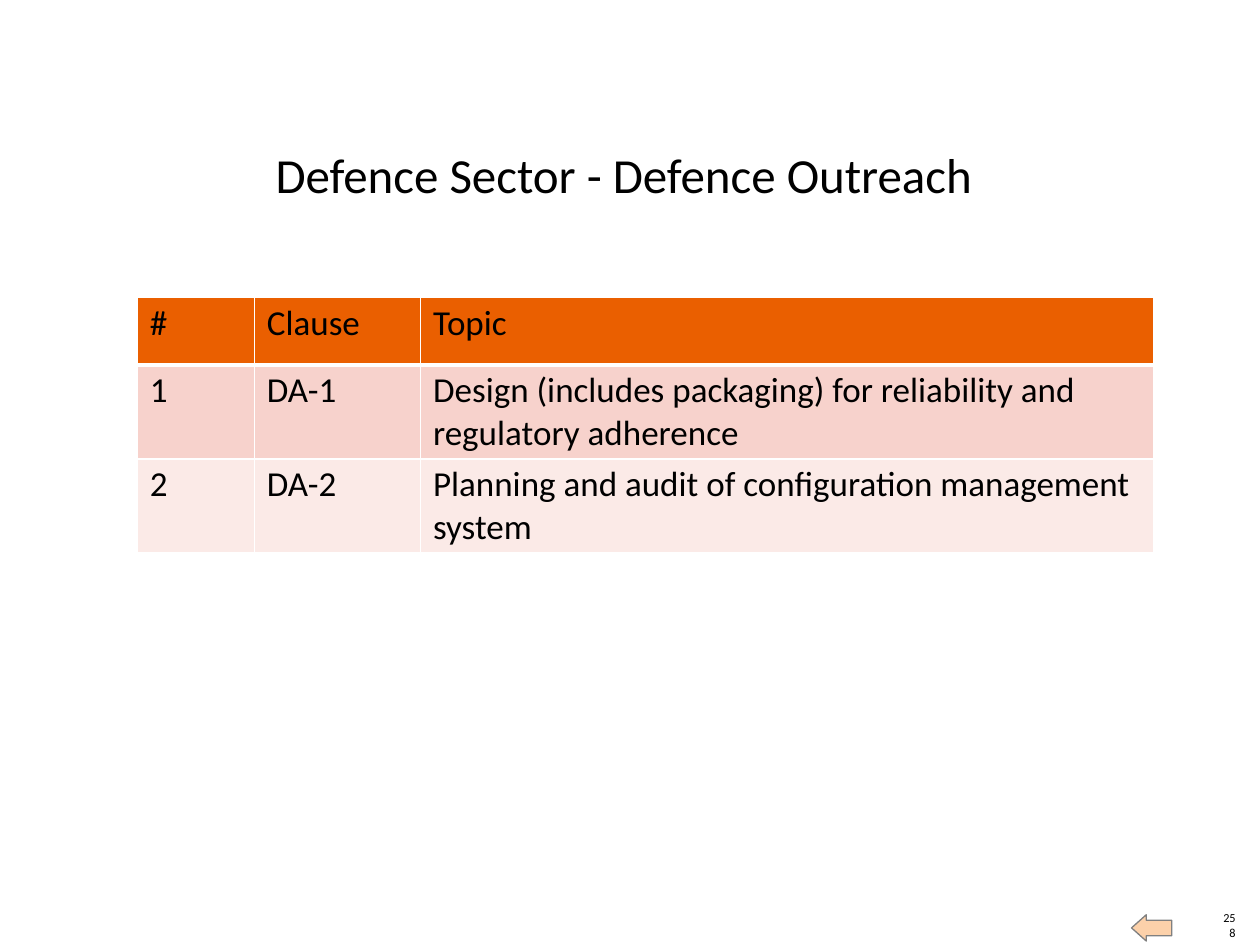
from dataclasses import dataclass

from lxml import etree
from pptx import Presentation
from pptx.dml import color
from pptx.enum import shapes, text
from pptx.oxml import ns
from pptx import util as u


@dataclass(frozen=True)
class Theme:
    font: str = "Calibri"
    ink: str = "000000"
    header: str = "EA5F00"
    bands: tuple = ("F7D2CC", "FBEAE7")
    border: str = "FFFFFF"
    arrow_fill: str = "FCD1AA"
    arrow_line: str = "808080"
    title_size: int = 28
    table_size: int = 20
    number_size: int = 7


def rgb(value):
    return color.RGBColor.from_string(value)


class PageBuilder:
    def __init__(self, deck, theme):
        self.theme = theme
        self.page = deck.slides.add_slide(deck.slide_layouts[5])

    def add_words(self, frame, words, size, align=text.PP_ALIGN.LEFT):
        para = frame.paragraphs[0]
        para.alignment = align
        span = para.add_run()
        span.text = words
        span.font.name = self.theme.font
        span.font.size = u.Pt(size)
        span.font.color.rgb = rgb(self.theme.ink)

    def bare_frame(self, box, anchor):
        frame = box.text_frame
        frame.margin_left = frame.margin_right = 0
        frame.margin_top = frame.margin_bottom = 0
        frame.word_wrap = True
        frame.auto_size = text.MSO_AUTO_SIZE.NONE
        frame.vertical_anchor = anchor
        return frame

    def title(self, words, left, top, width, height):
        box = self.page.shapes.title
        box.left, box.top, box.width, box.height = map(u.Cm, (left, top, width, height))
        frame = self.bare_frame(box, text.MSO_ANCHOR.TOP)
        self.add_words(frame, words, self.theme.title_size, text.PP_ALIGN.CENTER)

    def page_number(self, words, left, top, width, height):
        box = self.page.shapes.add_textbox(*map(u.Cm, (left, top, width, height)))
        frame = self.bare_frame(box, text.MSO_ANCHOR.BOTTOM)
        self.add_words(frame, words, self.theme.number_size, text.PP_ALIGN.RIGHT)

    def back_arrow(self, left, top, width, height):
        arrow = self.page.shapes.add_shape(
            shapes.MSO_SHAPE.RIGHT_ARROW, *map(u.Cm, (left, top, width, height)))
        arrow.rotation = 180
        arrow.adjustments[0], arrow.adjustments[1] = 0.59, 0.56
        arrow.shadow.inherit = False
        arrow.fill.solid()
        arrow.fill.fore_color.rgb = rgb(self.theme.arrow_fill)
        arrow.line.color.rgb = rgb(self.theme.arrow_line)
        arrow.line.width = u.Pt(0.75)

    def border(self, cell, side, points):
        properties = cell._tc.get_or_add_tcPr()
        line = etree.SubElement(properties, ns.qn(f"a:ln{side}"), w=str(u.Pt(points)))
        fill = etree.SubElement(line, ns.qn("a:solidFill"))
        etree.SubElement(fill, ns.qn("a:srgbClr"), val=self.theme.border)

    def style_cell(self, cell, row):
        cell.margin_left = u.Cm(0.25)
        cell.margin_right = u.Cm(0.15 if row else 0.18)
        cell.margin_top = cell.margin_bottom = u.Cm(0.08 if row else 0.1)
        rules = {"L": 1, "R": 1, "T": 3 if row == 1 else 1, "B": 1 if row else 3}
        for side, points in rules.items():
            self.border(cell, side, points)
        bands = self.theme.bands
        cell.fill.solid()
        cell.fill.fore_color.rgb = rgb(bands[(row - 1) % len(bands)] if row else self.theme.header)

    def table(self, rows, left, top, widths, heights):
        size = (left, top, sum(widths), sum(heights))
        grid = self.page.shapes.add_table(len(rows), len(widths), *map(u.Cm, size)).table
        for column, width in zip(grid.columns, widths):
            column.width = u.Cm(width)
        for row, (words, height) in enumerate(zip(rows, heights)):
            grid.rows[row].height = u.Cm(height)
            for column, word in enumerate(words):
                cell = grid.cell(row, column)
                self.style_cell(cell, row)
                self.add_words(cell.text_frame, word, self.theme.table_size)


def main():
    deck = Presentation()
    deck.slide_width, deck.slide_height = u.Cm(25.4), u.Cm(19.05)
    builder = PageBuilder(deck, Theme())
    builder.page_number("258", 24.61, 18.64, 0.3, 0.3)
    builder.back_arrow(22.81, 18.44, 0.81, 0.53)
    builder.title("Defence Sector - Defence Outreach", 2.77, 2.92, 19.61, 1.19)
    topics = [
        ("#", "Clause", "Topic"),
        ("1", "DA-1", "Design (includes packaging) for reliability and regulatory adherence"),
        ("2", "DA-2", "Planning and audit of configuration management system"),
    ]
    builder.table(topics, 2.77, 5.99, (2.36, 3.35, 14.78), (1.37, 1.85, 1.85))
    deck.save("out.pptx")


if __name__ == "__main__":
    main()
